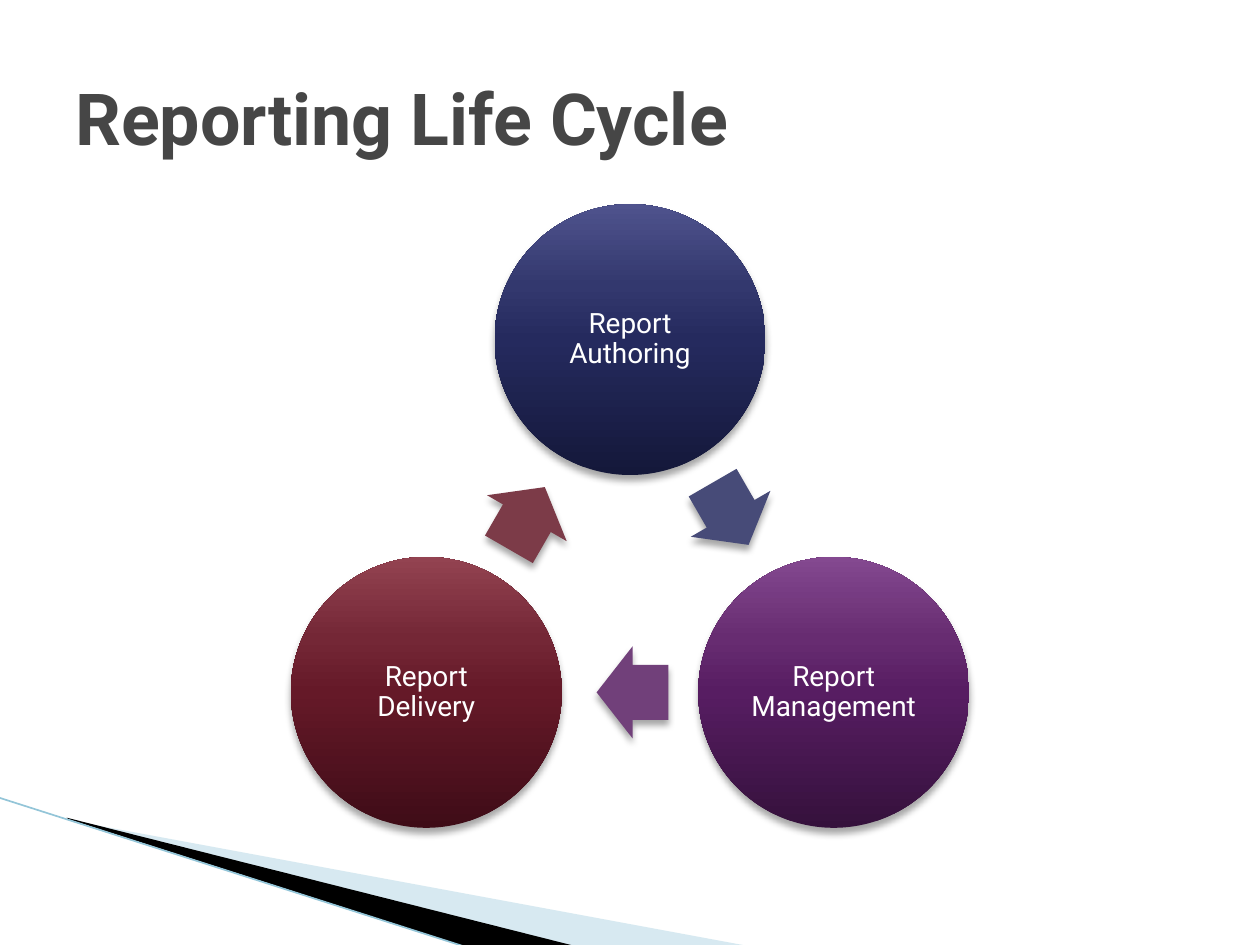
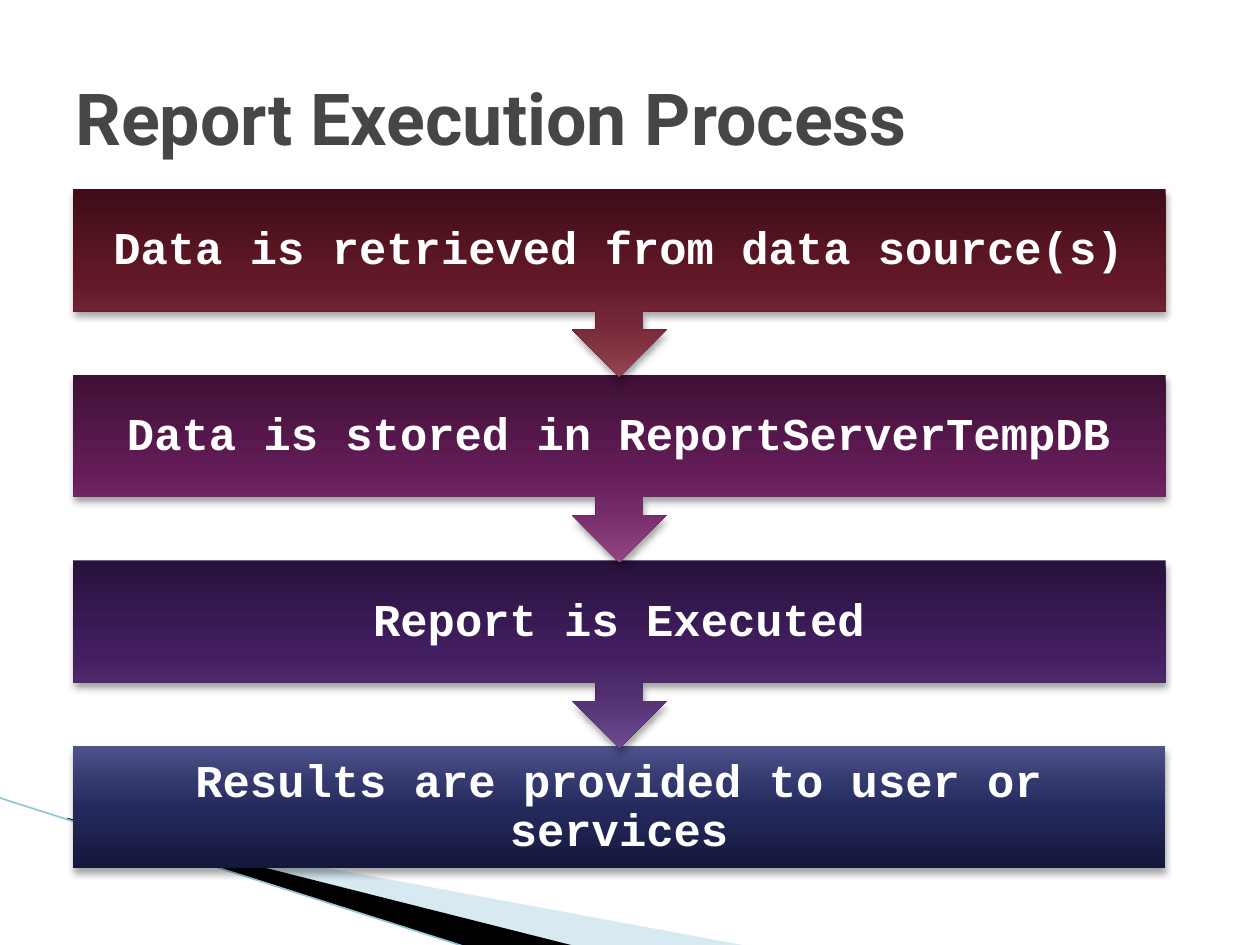
from math import cos, radians, sin

from lxml import etree
from pptx import Presentation
from pptx.dml.color import RGBColor
from pptx.enum.shapes import MSO_CONNECTOR as Connector, MSO_SHAPE as Shape
from pptx.enum.text import MSO_ANCHOR as Anchor, PP_ALIGN as Align
from pptx.oxml.ns import qn
from pptx.util import Inches, Pt

WHITE = RGBColor(0xFF, 0xFF, 0xFF)
BLACK = RGBColor(0x00, 0x00, 0x00)
TITLE_GREY = RGBColor(0x46, 0x46, 0x46)
PALE_BLUE = RGBColor(0x9C, 0xCA, 0xDC)
LINE_BLUE = RGBColor(0x93, 0xC5, 0xD8)
ARROW_NAVY = RGBColor(0x47, 0x4B, 0x78)
ARROW_PURPLE = RGBColor(0x71, 0x40, 0x7A)
ARROW_RED = RGBColor(0x7C, 0x3B, 0x48)

# Gradients run from dark to light through these stops
STOPS = (0, 50, 70, 100)


def shades(*codes):
    return [RGBColor.from_string(code) for code in codes]


NAVY = shades("14183A", "252A5E", "33386E", "4F538D")
PURPLE = shades("35113C", "571D62", "672C71", "844990")
RED = shades("3F0C17", "651928", "742736", "934351")
VIOLET = shades("28113C", "431F61", "502E70", "6D4A8F")
MAGENTA = shades("3D1035", "631C57", "722A68", "924684")

HEADING_FONT = "Roboto"
STEP_FONT = "Courier New"


# Shared formatting
def add_color(parent, color, alpha=None):
    node = etree.SubElement(parent, qn("a:srgbClr"), val=str(color))
    if alpha is not None:
        etree.SubElement(node, qn("a:alpha"), val=str(alpha * 1000))


def fill_gradient(shape, colors):
    shape.fill.gradient()
    shape.fill.gradient_angle = 90
    stop_list = shape.element.spPr.find(qn("a:gradFill")).find(qn("a:gsLst"))
    for old_stop in list(stop_list):
        stop_list.remove(old_stop)
    for position, color in zip(STOPS, colors):
        stop = etree.SubElement(stop_list, qn("a:gs"), pos=str(position * 1000))
        add_color(stop, color)


def fill_solid(shape, color):
    shape.fill.solid()
    shape.fill.fore_color.rgb = color


def remove_outline(shape):
    shape.line.fill.background()
    shape.shadow.inherit = False


def add_shadow(shape):
    effects = shape.element.spPr.find(qn("a:effectLst"))
    shadow = etree.SubElement(
        effects, qn("a:outerShdw"), blurRad=str(Pt(4)), dist=str(Pt(3)),
        dir=str(90 * 60000), algn="ctr", rotWithShape="0")
    add_color(shadow, BLACK, 35)


def add_raised_shape(page, kind, box, fill, rotation=0, adjustments=()):
    shape = page.shapes.add_shape(kind, *map(Inches, box))
    shape.rotation = rotation
    for index, value in enumerate(adjustments):
        shape.adjustments[index] = value
    if isinstance(fill, list):
        fill_gradient(shape, fill)
    else:
        fill_solid(shape, fill)
    remove_outline(shape)
    add_shadow(shape)
    return shape


def write_text(shape, text, font, size, color=WHITE, bold=False,
               align=Align.CENTER, spacing=0.9, insets=(0.2, 0.2)):
    frame = shape.text_frame
    frame.word_wrap = True
    frame.vertical_anchor = Anchor.MIDDLE
    frame.margin_left = frame.margin_right = Inches(insets[0])
    frame.margin_top = frame.margin_bottom = Inches(insets[1])
    frame.text = text
    para = frame.paragraphs[0]
    para.alignment = align
    para.line_spacing = spacing
    span = para.runs[0].font
    span.name, span.size, span.bold = font, Pt(size), bold
    span.color.rgb = color


# Corner decoration
def add_wedge(page, points, color, alpha=None):
    start, *others = [(Inches(x), Inches(y)) for x, y in points]
    builder = page.shapes.build_freeform(*start, scale=1.0)
    builder.add_line_segments(others, close=True)
    wedge = builder.convert_to_shape()
    fill_solid(wedge, color)
    remove_outline(wedge)
    if alpha is not None:
        node = wedge.element.spPr.find(qn("a:solidFill"))[0]
        etree.SubElement(node, qn("a:alpha"), val=str(alpha * 1000))


def add_corner(page):
    add_wedge(page, [(0.55, 6.51), (5.95, 7.51), (4.56, 7.51), (0.55, 6.5)],
              PALE_BLUE, 40)
    add_wedge(page, [(0.53, 6.49), (4.57, 7.51), (3.72, 7.52), (0.54, 6.5)],
              BLACK)
    edge = page.shapes.add_connector(
        Connector.STRAIGHT, *map(Inches, (-0.01, 6.33, 3.71, 7.52)))
    edge.line.color.rgb = LINE_BLUE
    edge.line.width = Pt(0.95)
    etree.SubElement(edge.element.spPr, qn("a:effectLst"))


def add_page(deck, title):
    page = deck.slides.add_slide(deck.slide_layouts[6])
    add_corner(page)
    heading = page.shapes.add_textbox(*map(Inches, (0.5, 0.3, 9, 1.25)))
    write_text(heading, title, HEADING_FONT, 41, TITLE_GREY, True,
               Align.LEFT, 1.0, (0.1, 0.05))
    return page


# Ring of circles with an arrow between each pair
def add_cycle(page, box, stages, diameter=2.15):
    left, top, width, height = box
    radius = (height - diameter) / 1.5
    center_x, center_y = left + width / 2, top + diameter / 2 + radius
    arrow_width, arrow_height, setback = 0.57, 0.73, 0.02
    turn = 360 / len(stages)
    for index, (label, colors, arrow_color) in enumerate(stages):
        angle = radians(index * turn - 90)
        circle = add_raised_shape(
            page, Shape.OVAL,
            (center_x + radius * cos(angle) - diameter / 2,
             center_y + radius * sin(angle) - diameter / 2,
             diameter, diameter), colors)
        write_text(circle, label, HEADING_FONT, 16, insets=(0.02, 0.02))

        # The arrow sits mid-side and points at the next circle
        side = angle + radians(turn / 2)
        heading = index * turn + turn / 2
        reach = radius * cos(radians(turn / 2))
        middle_x = center_x + reach * cos(side) - setback * cos(radians(heading))
        middle_y = center_y + reach * sin(side) - setback * sin(radians(heading))
        add_raised_shape(
            page, Shape.RIGHT_ARROW,
            (middle_x - arrow_width / 2, middle_y - arrow_height / 2,
             arrow_width, arrow_height), arrow_color, heading, (0.6, 0.5))


# Stacked steps, each one pointing down to the next
def add_process(page, box, steps):
    left, top, width, height = box
    step_height, callout_height = 0.97, 1.49
    pitch = (height - step_height) / (len(steps) - 1)
    last = len(steps) - 1
    for index, (label, colors) in reversed(list(enumerate(steps))):
        step_top = top + index * pitch
        step_box = (left, step_top, width, step_height)
        if index == last:
            holder = add_raised_shape(page, Shape.RECTANGLE, step_box, colors)
        else:
            add_raised_shape(page, Shape.UP_ARROW_CALLOUT,
                             (left, step_top, width, callout_height), colors,
                             180, (0.25, 0.25, 0.25, 0.65))
            holder = page.shapes.add_textbox(*map(Inches, step_box))
        write_text(holder, label, STEP_FONT, 26, bold=True)


def main():
    deck = Presentation()
    deck.slide_width, deck.slide_height = Inches(10), Inches(7.5)

    cycle_page = add_page(deck, "Reporting Life Cycle")
    add_cycle(cycle_page, (2.31, 1.62, 5.38, 4.95), [
        ("Report Authoring", NAVY, ARROW_NAVY),
        ("Report Management", PURPLE, ARROW_PURPLE),
        ("Report Delivery", RED, ARROW_RED),
    ])

    process_page = add_page(deck, "Report Execution Process")
    add_process(process_page, (0.58, 1.5, 8.67, 5.39), [
        ("Data is retrieved from data source(s)", RED),
        ("Data is stored in ReportServerTempDB", MAGENTA),
        ("Report is Executed", VIOLET),
        ("Results are provided to user or services", NAVY),
    ])

    deck.save("out.pptx")


if __name__ == "__main__":
    main()
